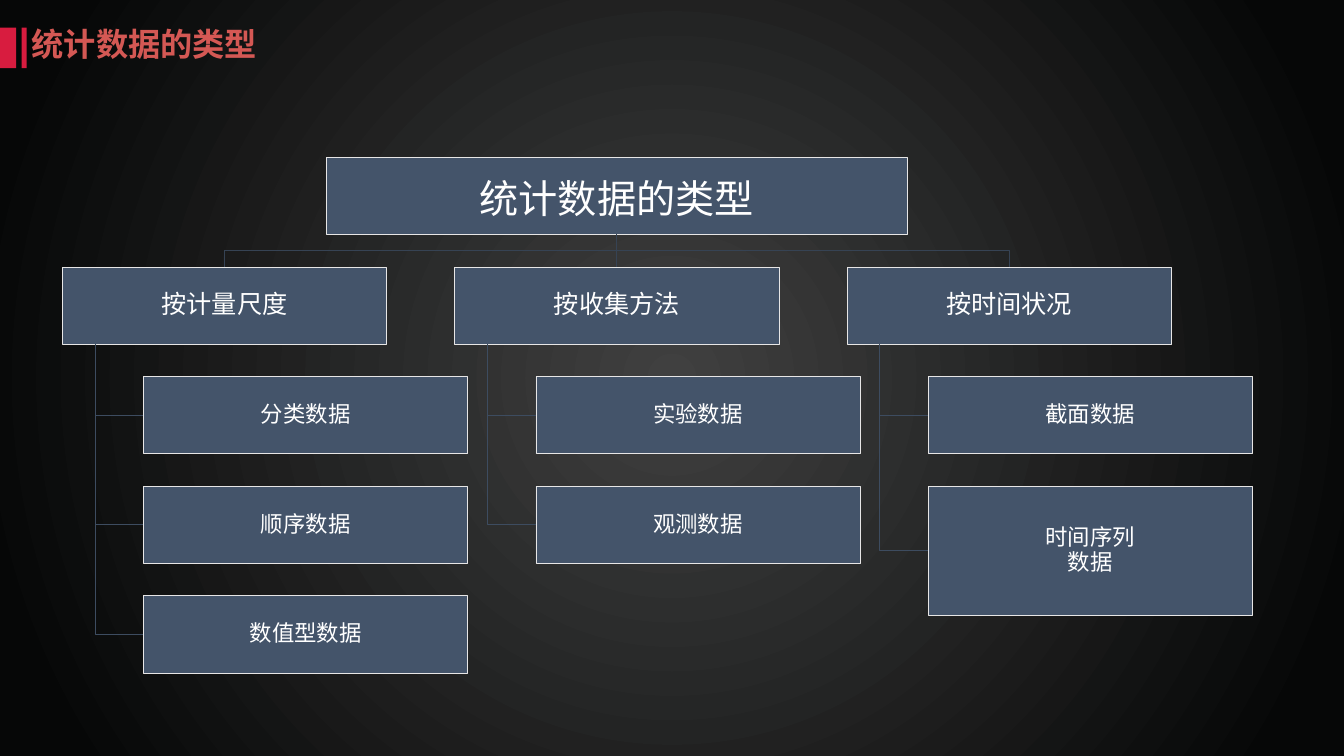
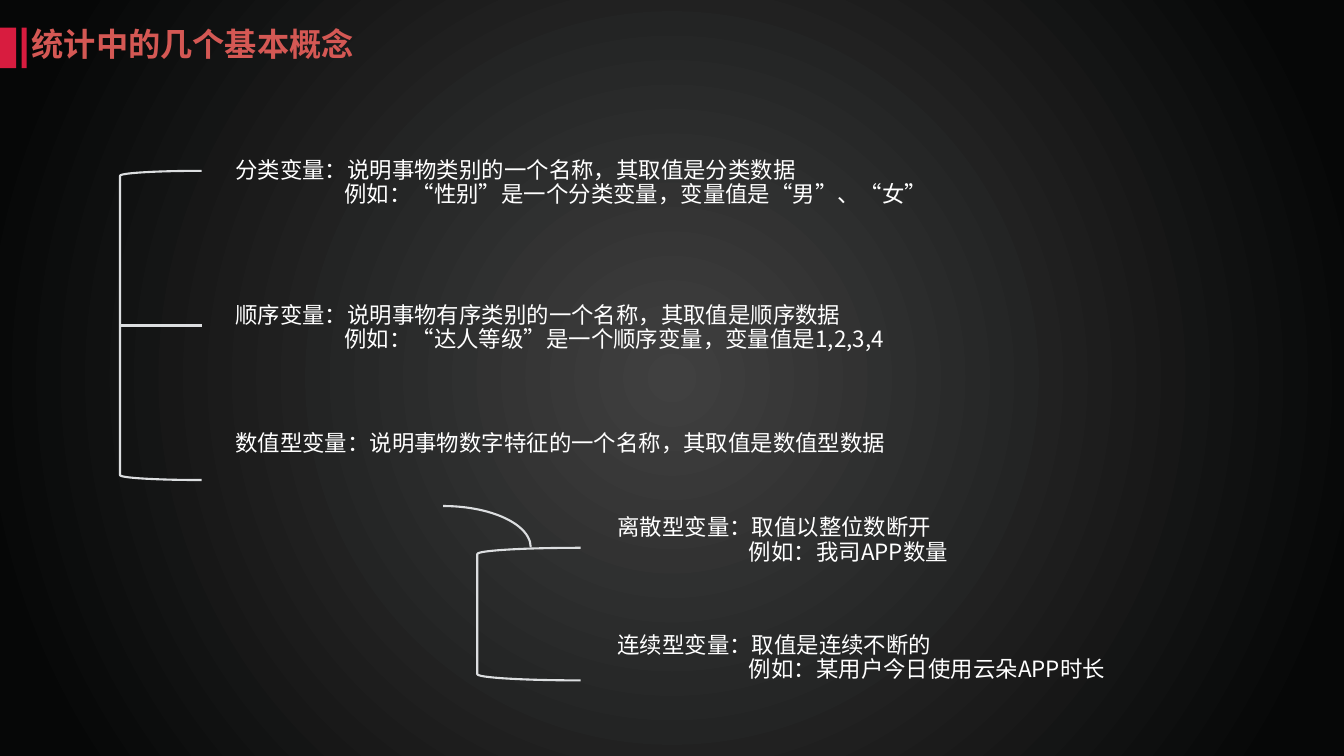
from lxml import etree
from pptx import Presentation
from pptx.dml.color import RGBColor
from pptx.enum import shapes, text
from pptx.oxml.ns import qn
from pptx.util import Pt

FONT = "Noto Sans CJK SC"
WHITE, ACCENT, TITLE = "FFFFFF", "D81C3F", "D45854"
BOX, BOX_EDGE = "44546A", "E7E6E6"
ROOT_LINK, CHILD_LINK, BRACKET = "364354", "3D4C60", "DCDEE0"
GLOW, EDGE = "404040", "060707"

# Tree measures
BOX_W, BOX_H = 463, 110.2
TREE_LEFT, TREE_TOP = 89.3, 381.6
COLUMN_STEP, ROW_STEP = 560.4, 156.5
CHILD_INDENT, STEM_INDENT = 116, 46.6
ROOT_TOP, ROOT_W = 224.6, 829.4

BRANCHES = [
    ("按计量尺度", ["分类数据", "顺序数据", "数值型数据"]),
    ("按收集方法", ["实验数据", "观测数据"]),
    ("按时间状况", ["截面数据", "时间序列\n数据"]),
]

# Left, top, width, height, line spacing, indent of the example, lines
CONCEPTS = [
    (332.6, 223.9, 1481.8, 99.4, 0.9, 156,
     ["分类变量：说明事物类别的一个名称，其取值是分类数据",
      "例如：“性别”是一个分类变量，变量值是“男”、“女”"]),
    (332.6, 431.3, 1481.8, 99.4, 0.9, 156,
     ["顺序变量：说明事物有序类别的一个名称，其取值是顺序数据",
      "例如：“达人等级”是一个顺序变量，变量值是1,2,3,4"]),
    (332.6, 628.6, 1468.8, 69.8, 0.4, 0,
     ["数值型变量：说明事物数字特征的一个名称，其取值是数值型数据"]),
    (878.4, 734.4, 922.3, 99.4, 0.9, 188,
     ["离散型变量：取值以整位数断开", "例如：我司APP数量"]),
    (878.4, 902.2, 1105.9, 99.4, 0.9, 188,
     ["连续型变量：取值是连续不断的", "例如：某用户今日使用云朵APP时长"]),
]


def rgb(hex_color):
    return RGBColor.from_string(hex_color)


def style_text(frame, size, color, align, spacing=1.0, bold=False):
    for paragraph in frame.paragraphs:
        paragraph.alignment = align
        paragraph.line_spacing = spacing
        for run in paragraph.runs:
            run.font.size = Pt(size)
            run.font.bold = bold
            run.font.color.rgb = rgb(color)
            run.font.name = FONT
            east_asian = etree.SubElement(run.font._element, qn("a:ea"))
            east_asian.set("typeface", FONT)


def set_margins(frame, inset, top=None):
    frame.margin_left = frame.margin_right = frame.margin_bottom = Pt(inset)
    frame.margin_top = Pt(inset if top is None else top)


def set_line(shape, color, width):
    shape.line.color.rgb = rgb(color)
    shape.line.width = Pt(width)


def add_shape(slide, kind, left, top, width, height, fill=None):
    shape = slide.shapes.add_shape(kind, Pt(left), Pt(top), Pt(width), Pt(height))
    shape.shadow.inherit = False
    if fill:
        shape.fill.solid()
        shape.fill.fore_color.rgb = rgb(fill)
    else:
        shape.fill.background()
    return shape


def add_box(slide, label, size, left, top, width, height=BOX_H, inset_top=0.7):
    box = add_shape(slide, shapes.MSO_SHAPE.RECTANGLE, left, top, width, height, BOX)
    set_line(box, BOX_EDGE, 1)
    frame = box.text_frame
    frame.word_wrap = True
    frame.vertical_anchor = text.MSO_ANCHOR.MIDDLE
    set_margins(frame, 0.7, inset_top)
    frame.text = label
    style_text(frame, size, WHITE, text.PP_ALIGN.CENTER, 0.9)
    return box


def add_bent_link(slide, points, color):
    start, *rest = [(Pt(x), Pt(y)) for x, y in points]
    builder = slide.shapes.build_freeform(*start)
    builder.add_line_segments(rest, close=False)
    link = builder.convert_to_shape()
    link.shadow.inherit = False
    link.fill.background()
    set_line(link, color, 1)


def add_straight_link(slide, x1, y1, x2, y2, color, width):
    link = slide.shapes.add_connector(
        shapes.MSO_CONNECTOR.STRAIGHT, Pt(x1), Pt(y1), Pt(x2), Pt(y2))
    set_line(link, color, width)
    etree.SubElement(link.element.xpath("./p:spPr")[0], qn("a:effectLst"))
    return link


def add_curve(slide, kind, left, top, width, height, rounding=None):
    curve = add_shape(slide, kind, left, top, width, height)
    set_line(curve, BRACKET, 3)
    if rounding is not None:
        curve.adjustments[0] = rounding


def add_concept(slide, left, top, width, height, spacing, indent, lines):
    concept = slide.shapes.add_textbox(Pt(left), Pt(top), Pt(width), Pt(height))
    frame = concept.text_frame
    frame.word_wrap = True
    set_margins(frame, 3.6)
    frame.text = "\n".join(lines)
    for example in frame.paragraphs[1:]:
        example._p.get_or_add_pPr().set("marL", str(Pt(indent)))
    style_text(frame, 32, WHITE, text.PP_ALIGN.JUSTIFY, spacing)


def set_background(master):
    fill = master.background.fill
    fill.gradient()
    for stop, color, position in zip(fill.gradient_stops, (GLOW, EDGE), (0, 0.92)):
        stop.color.rgb = rgb(color)
        stop.position = position
    # Turn the linear gradient into a glow from the centre
    linear = master.element.xpath(".//p:bg//a:lin")[0]
    glow = etree.Element(qn("a:path"), {"path": "circle"})
    etree.SubElement(glow, qn("a:fillToRect"), {side: "50000" for side in "ltrb"})
    linear.getparent().replace(linear, glow)


def new_slide(prs, heading):
    slide = prs.slides.add_slide(prs.slide_layouts[5])
    for left, width in ((0, 23), (31, 7.2)):
        band = add_shape(slide, shapes.MSO_SHAPE.RECTANGLE, left, 39.6, width, 57.6, ACCENT)
        band.line.fill.background()
    title = slide.shapes.title
    title.left, title.top, title.width, title.height = Pt(38.2), Pt(27.4), Pt(632), Pt(79.2)
    frame = title.text_frame
    frame.text = heading
    frame.word_wrap = True
    frame.auto_size = text.MSO_AUTO_SIZE.NONE
    frame.vertical_anchor = text.MSO_ANCHOR.TOP
    set_margins(frame, 7.2)
    style_text(frame, 46, TITLE, text.PP_ALIGN.LEFT, bold=True)
    return slide


def add_branch(slide, left, category, children):
    heading = add_box(slide, category, 36, left, TREE_TOP, BOX_W)
    stem, bottom = left + STEM_INDENT, TREE_TOP + BOX_H
    child_left = left + CHILD_INDENT
    for row, child in enumerate(children, start=1):
        top = TREE_TOP + row * ROW_STEP
        height = 184.3 if "\n" in child else BOX_H
        middle = top + height / 2
        add_bent_link(slide, [(stem, bottom), (stem, middle), (child_left, middle)], CHILD_LINK)
        add_box(slide, child, 32, child_left, top, BOX_W, height)
    return heading


def build_data_types(prs):
    slide = new_slide(prs, "统计数据的类型")
    center = TREE_LEFT + COLUMN_STEP + BOX_W / 2
    root_bottom = ROOT_TOP + BOX_H
    fork = (root_bottom + TREE_TOP) / 2
    root = add_box(slide, "统计数据的类型", 56, center - ROOT_W / 2, ROOT_TOP, ROOT_W,
                   inset_top=16)
    for column, (category, children) in enumerate(BRANCHES):
        left = TREE_LEFT + column * COLUMN_STEP
        heading = add_branch(slide, left, category, children)
        if column == 1:
            link = add_straight_link(slide, center, root_bottom, center, TREE_TOP, ROOT_LINK, 1)
            link.begin_connect(root, 2)
            link.end_connect(heading, 0)
        else:
            x = left + BOX_W / 2
            add_bent_link(slide, [(center, root_bottom), (center, fork), (x, fork),
                                  (x, TREE_TOP)], ROOT_LINK)


def build_basic_concepts(prs):
    slide = new_slide(prs, "统计中的几个基本概念")
    # Bracket over the three kinds of variable
    add_curve(slide, shapes.MSO_SHAPE.LEFT_BRACKET, 171.4, 244.1, 116.6, 441.7, 0.06)
    add_straight_link(slide, 171.4, 465, 288, 465, BRACKET, 3)
    # Bracket over the two numeric kinds, and the arc leading to it
    add_curve(slide, shapes.MSO_SHAPE.LEFT_BRACKET, 681.8, 782.6, 147.6, 189.4, 0.06)
    add_curve(slide, shapes.MSO_SHAPE.ARC, 507.6, 722.9, 250.6, 118.1)
    for concept in CONCEPTS:
        add_concept(slide, *concept)


def main():
    prs = Presentation()
    prs.slide_width, prs.slide_height = Pt(1920), Pt(1080)
    set_background(prs.slide_master)
    build_data_types(prs)
    build_basic_concepts(prs)
    prs.save("out.pptx")


if __name__ == "__main__":
    main()
